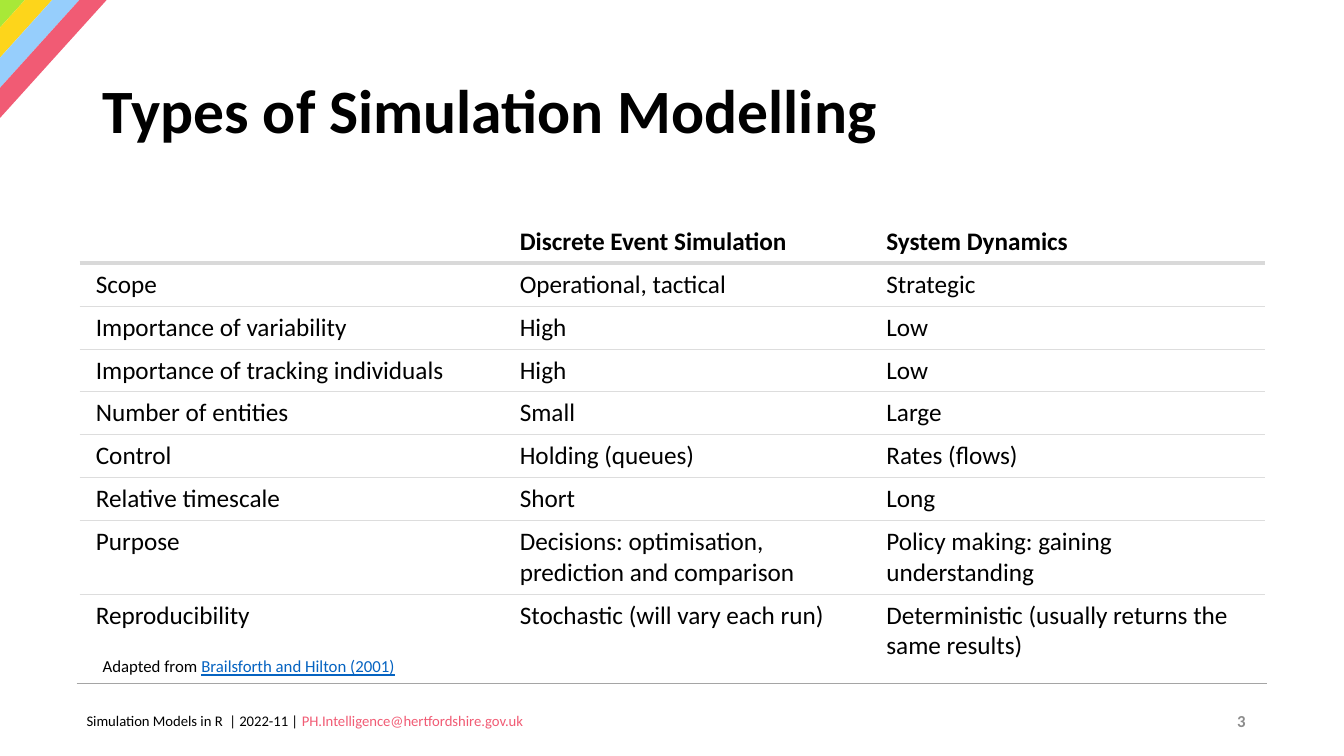
import dataclasses

import lxml.etree
import pptx
import pptx.dml.color
import pptx.enum.shapes
import pptx.enum.text
import pptx.oxml.ns
import pptx.util

SLIDE_WIDTH = pptx.util.Inches(13.33)
SLIDE_HEIGHT = pptx.util.Inches(7.5)
ANCHOR = pptx.enum.text.MSO_ANCHOR
ALIGN = pptx.enum.text.PP_ALIGN


@dataclasses.dataclass(frozen=True)
class Theme:
    font: str = "Calibri"
    text: str = "000000"
    accent: str = "F15B74"
    link: str = "0563C1"
    muted: str = "8C8C8C"
    footer_rule: str = "A5A5A5"
    header_rule: str = "D9D9D9"
    row_rule: str = "DDDDDD"
    stripes: tuple = ("A8E838", "FDD51B", "96CEFC", "F15B74")
    title_size: float = 44
    table_size: float = 18
    note_size: float = 12
    footer_size: float = 10.5


THEME = Theme()


@dataclasses.dataclass(frozen=True)
class Box:
    """An area in percent of the slide's width and height."""
    left: float
    top: float
    width: float
    height: float

    def emu(self):
        return (int(SLIDE_WIDTH * self.left / 100), int(SLIDE_HEIGHT * self.top / 100),
                int(SLIDE_WIDTH * self.width / 100), int(SLIDE_HEIGHT * self.height / 100))

    def inner(self, left, top, width, height):
        """A box inside this one, given as shares of it."""
        return Box(self.left + left * self.width, self.top + top * self.height,
                   width * self.width, height * self.height)


CORNER = Box(0, 0, 8, 15.73)
TITLE = Box(6.9, 5.33, 86.27, 19.33)
TABLE = Box(5.93, 25.2, 88.2, 63.07)
SOURCE = Box(6.9, 86.13, 25.13, 4)
FOOTER = Box(5.7, 90.4, 88.6, 9.6)

COLUMN_WEIGHTS = (4.21, 3.64, 3.92)
ROW_WEIGHTS = (1.7, 1, 1, 1, 1, 1, 1, 1.72, 1.72)
COMPARISON = (
    ("", "Discrete Event Simulation", "System Dynamics"),
    ("Scope", "Operational, tactical", "Strategic"),
    ("Importance of variability", "High", "Low"),
    ("Importance of tracking individuals", "High", "Low"),
    ("Number of entities", "Small", "Large"),
    ("Control", "Holding (queues)", "Rates (flows)"),
    ("Relative timescale", "Short", "Long"),
    ("Purpose", "Decisions: optimisation,\nprediction and comparison",
     "Policy making: gaining understanding"),
    ("Reproducibility", "Stochastic (will vary each run)",
     "Deterministic (usually returns the same results)"),
)


def rgb(color):
    return pptx.dml.color.RGBColor.from_string(color)


def add_run(paragraph, text, size, color=THEME.text, bold=False, underline=False):
    run = paragraph.add_run()
    run.text = text
    run.font.name = THEME.font
    run.font.size = pptx.util.Pt(size)
    run.font.color.rgb = rgb(color)
    run.font.bold = bold
    run.font.underline = underline


def add_text_box(slide, box, anchor=ANCHOR.TOP, wrap=True):
    frame = slide.shapes.add_textbox(*box.emu()).text_frame
    frame.word_wrap = wrap
    frame.vertical_anchor = anchor
    return frame.paragraphs[0]


def draw_corner(slide, box):
    """Diagonal stripes, evenly stepped from the slide corner."""
    for index, color in enumerate(THEME.stripes):
        stripe_box = box.inner(-0.8 + 0.14 * index, 0.02 + 0.34 / 3 * index, 1.6, 0.17)
        stripe = slide.shapes.add_shape(
            pptx.enum.shapes.MSO_SHAPE.RECTANGLE, *stripe_box.emu())
        stripe.rotation = 312.1
        stripe.shadow.inherit = False
        stripe.fill.solid()
        stripe.fill.fore_color.rgb = rgb(color)
        stripe.line.fill.background()


def draw_title(slide, box):
    title = slide.shapes.title
    title.left, title.top, title.width, title.height = box.emu()
    frame = title.text_frame
    frame.auto_size = pptx.enum.text.MSO_AUTO_SIZE.NONE
    frame.vertical_anchor = ANCHOR.MIDDLE
    paragraph = frame.paragraphs[0]
    paragraph.alignment = ALIGN.LEFT
    paragraph.line_spacing = 0.9
    add_run(paragraph, "Types of Simulation Modelling", THEME.title_size, bold=True)


def set_border(cell, side, rule=None):
    """Draw one cell edge; rule is (colour, points), or None for no line."""
    properties = cell._tc.get_or_add_tcPr()
    qualify = pptx.oxml.ns.qn
    line = lxml.etree.SubElement(properties, qualify(f"a:ln{side}"))
    if rule is None:
        line.set("w", "0")
        lxml.etree.SubElement(line, qualify("a:noFill"))
        return
    color, points = rule
    line.set("w", str(int(pptx.util.Pt(points))))
    fill = lxml.etree.SubElement(line, qualify("a:solidFill"))
    lxml.etree.SubElement(fill, qualify("a:srgbClr")).set("val", color)


def fill_cell(cell, text, bold):
    cell.margin_left = cell.margin_right = pptx.util.Inches(0.16)
    cell.margin_top = cell.margin_bottom = pptx.util.Inches(0.06)
    cell.vertical_anchor = ANCHOR.BOTTOM if bold else ANCHOR.TOP
    paragraph = cell.text_frame.paragraphs[0]
    for index, line in enumerate(text.split("\n") if text else ()):
        if index:
            paragraph.add_line_break()
        add_run(paragraph, line, THEME.table_size, bold=bold)


def draw_table(slide, box):
    row_count, column_count = len(COMPARISON), len(COLUMN_WEIGHTS)
    left, top, width, height = box.emu()
    table = slide.shapes.add_table(
        row_count, column_count, left, top, width, height).table
    table.first_row = table.horz_banding = False
    for column, weight in zip(table.columns, COLUMN_WEIGHTS):
        column.width = int(width * weight / sum(COLUMN_WEIGHTS))
    for row, weight in zip(table.rows, ROW_WEIGHTS):
        row.height = int(height * weight / sum(ROW_WEIGHTS))

    # One rule below each row except the last; heavier below the header
    header_rule, row_rule = (THEME.header_rule, 3), (THEME.row_rule, 0.75)
    rules = [None, header_rule] + [row_rule] * (row_count - 2) + [None]
    for row_index, texts in enumerate(COMPARISON):
        for column_index, text in enumerate(texts):
            cell = table.cell(row_index, column_index)
            fill_cell(cell, text, bold=row_index == 0)
            set_border(cell, "L")
            set_border(cell, "R")
            set_border(cell, "T", rules[row_index])
            set_border(cell, "B", rules[row_index + 1])
            cell.fill.background()


def draw_source(slide, box):
    paragraph = add_text_box(slide, box)
    add_run(paragraph, "Adapted from ", THEME.note_size)
    add_run(paragraph, "Brailsforth and Hilton (2001)", THEME.note_size,
            THEME.link, underline=True)


def draw_footer(slide, box):
    # Rule along the top
    left, top, width, _ = box.emu()
    rule = slide.shapes.add_connector(
        pptx.enum.shapes.MSO_CONNECTOR.STRAIGHT, left, top, left + width, top)
    rule.line.color.rgb = rgb(THEME.footer_rule)
    rule.line.width = pptx.util.Pt(0.5)
    lxml.etree.SubElement(rule._element.spPr, pptx.oxml.ns.qn("a:effectLst"))

    # Slide number and contact line
    number = add_text_box(slide, box.inner(0.73, 0.24, 0.26, 0.55), ANCHOR.MIDDLE)
    number.alignment = ALIGN.RIGHT
    add_run(number, "3", THEME.note_size, THEME.muted, bold=True)
    contact = add_text_box(slide, box.inner(0, 0.32, 0.41, 0.39), wrap=False)
    contact.alignment = ALIGN.LEFT
    add_run(contact, "Simulation Models in R  | 2022-11 | ", THEME.footer_size)
    add_run(contact, "PH.Intelligence@hertfordshire.gov.uk", THEME.footer_size, THEME.accent)


def main():
    presentation = pptx.Presentation()
    presentation.slide_width, presentation.slide_height = SLIDE_WIDTH, SLIDE_HEIGHT
    slide = presentation.slides.add_slide(presentation.slide_layouts[5])
    draw_corner(slide, CORNER)
    draw_title(slide, TITLE)
    draw_table(slide, TABLE)
    draw_source(slide, SOURCE)
    draw_footer(slide, FOOTER)
    presentation.save("out.pptx")


if __name__ == "__main__":
    main()
